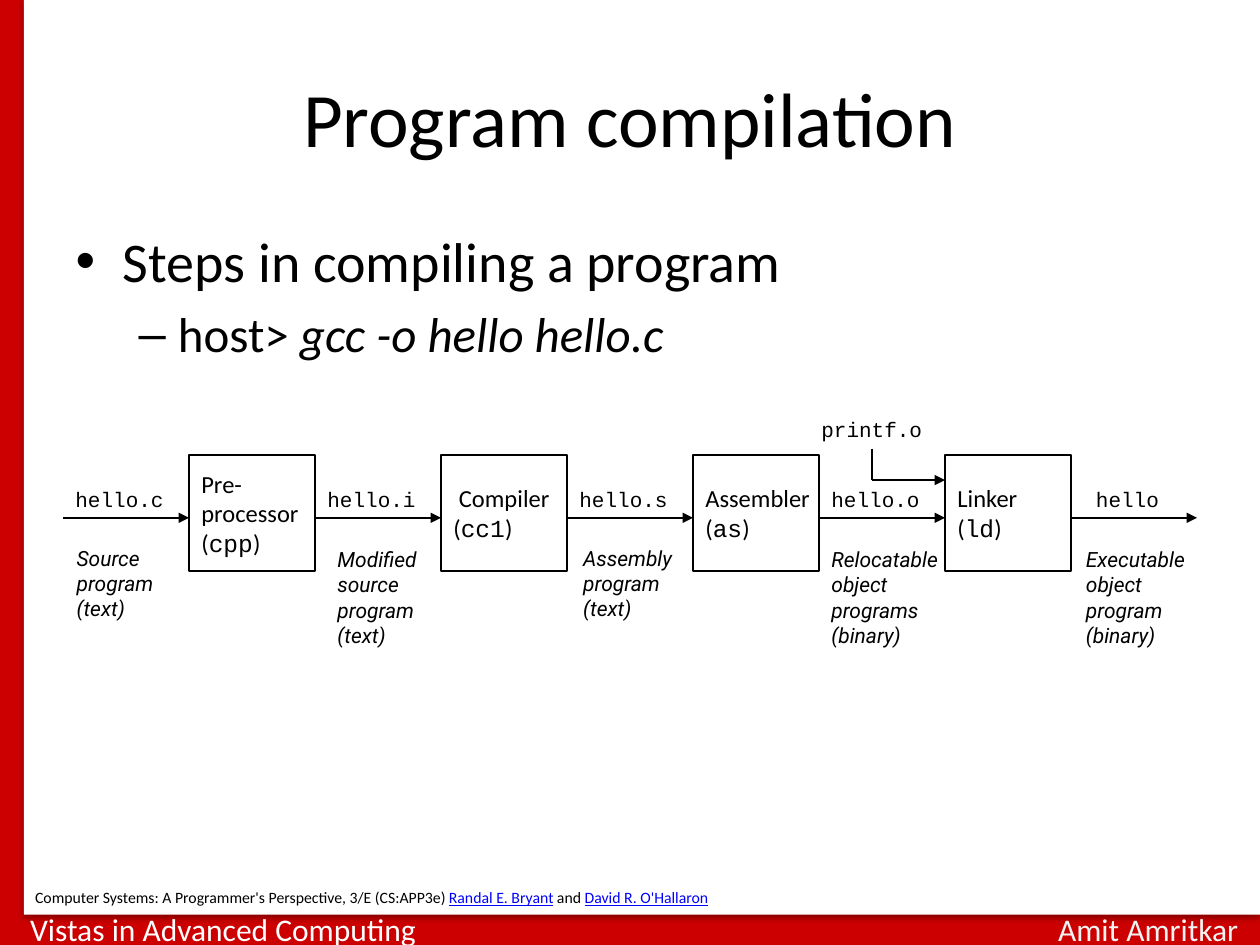
from dataclasses import dataclass
from lxml.etree import SubElement
from pptx import Presentation
from pptx.dml.color import RGBColor
from pptx.enum.shapes import MSO_CONNECTOR, MSO_SHAPE
from pptx.enum.text import MSO_ANCHOR, MSO_AUTO_SIZE, PP_ALIGN
from pptx.oxml.ns import qn
from pptx.util import Inches, Pt


@dataclass(frozen=True)
class Theme:
    """Colours, fonts and type sizes."""
    red: str = "CC0000"
    white: str = "FFFFFF"
    pale: str = "F2F2F2"
    black: str = "000000"
    blue: str = "0000FF"
    sans: str = "Calibri"
    mono: str = "Courier New"
    note: str = "Roboto"
    title: int = 44
    body: int = 32
    sub: int = 28
    foot: int = 18
    box: int = 14
    label: int = 12
    cite: int = 9


class Pen:
    """Draws styled elements on one slide."""

    def __init__(self, slide, theme):
        """Keep the slide and theme, and paint the background."""
        self.slide, self.theme = slide, theme
        self.home = slide.shapes
        fill = slide.background.fill
        fill.solid()
        fill.fore_color.rgb = RGBColor.from_string(theme.red)

    def group(self):
        """Send later elements into a new group."""
        self.home = self.slide.shapes.add_group_shape().shapes

    def leave(self):
        """Send later elements to the slide again."""
        self.home = self.slide.shapes

    def run(self, para, text, size, font=None, color=None, **style):
        """Add one run to a paragraph."""
        run = para.add_run()
        run.text = text
        run.font.size = Pt(size)
        run.font.name = font or self.theme.sans
        run.font.color.rgb = RGBColor.from_string(color or self.theme.black)
        for key, value in style.items():
            setattr(run.font, key, value)

    def lines(self, frame, rows, size, **style):
        """Fill a frame; each row is a list of (text, style) runs."""
        for i, row in enumerate(rows):
            para = frame.paragraphs[0] if i == 0 else frame.add_paragraph()
            para.alignment = PP_ALIGN.LEFT
            for text, extra in row:
                self.run(para, text, size, **{**style, **extra})

    def text(self, at, rows, size, wrap=False, anchor=MSO_ANCHOR.TOP, **style):
        """Add a text box that grows with its text."""
        frame = self.home.add_textbox(*map(Inches, at)).text_frame
        frame.word_wrap = wrap
        frame.auto_size = MSO_AUTO_SIZE.SHAPE_TO_FIT_TEXT
        frame.vertical_anchor = anchor
        self.lines(frame, rows, size, **style)

    def label(self, at, words, **style):
        """Add a small diagram label, one word a line."""
        rows = [[(word, {})] for word in words.split()]
        self.text(at, rows, self.theme.label, anchor=MSO_ANCHOR.MIDDLE, **style)

    def rect(self, at):
        """Add a plain rectangle without a shadow."""
        shape = self.home.add_shape(MSO_SHAPE.RECTANGLE, *map(Inches, at))
        shape.shadow.inherit = False
        return shape

    def panel(self, at):
        """Add the white page with its soft shadow, behind the rest."""
        shape = self.rect(at)
        shape.fill.solid()
        shape.fill.fore_color.rgb = RGBColor.from_string(self.theme.white)
        shape.line.fill.background()
        effects = shape.element.spPr.find(qn("a:effectLst"))
        shade = SubElement(effects, qn("a:outerShdw"), blurRad=str(Pt(3.1)),
                           dist=str(Pt(1.8)), dir="5400000", rotWithShape="0")
        color = SubElement(shade, qn("a:srgbClr"), val=self.theme.black)
        SubElement(color, qn("a:alpha"), val="35000")
        shape.element.getparent().insert(2, shape.element)

    def box(self, at, names, tool):
        """Add a step box with its name and its tool in brackets."""
        shape = self.rect(at)
        shape.fill.background()
        shape.line.color.rgb = RGBColor.from_string(self.theme.black)
        shape.line.width = Pt(1)
        frame = shape.text_frame
        frame.word_wrap = False
        frame.vertical_anchor = MSO_ANCHOR.MIDDLE
        rows = [[(name, {})] for name in names]
        rows.append([("(", {}), (tool, {"font": self.theme.mono}), (")", {})])
        self.lines(frame, rows, self.theme.box)

    def line(self, start, end, arrow=True):
        """Add a straight line, with an arrowhead at its end if asked."""
        line = self.home.add_connector(
            MSO_CONNECTOR.STRAIGHT, *map(Inches, start + end))
        line.line.color.rgb = RGBColor.from_string(self.theme.black)
        line.line.width = Pt(1)
        if arrow:
            SubElement(line.line._get_or_add_ln(), qn("a:tailEnd"), type="triangle")
        SubElement(line.element.spPr, qn("a:effectLst"))

    def holder(self, shape, at):
        """Move a placeholder and return its text frame."""
        shape.left, shape.top, shape.width, shape.height = map(Inches, at)
        return shape.text_frame


STEPS = [
    (["Pre-", "processor"], "cpp"),
    ([" Compiler"], "cc1"),
    (["Assembler"], "as"),
    (["Linker"], "ld"),
]
# file name, its inset and width; note, its left, top, width and height
FILES = [
    ("hello.c", 0, 0.91, "Source program (text)", (0.51, 4.28, 0.82, 0.7)),
    ("hello.i", 0, 0.91, "Modified source program (text)", (2.58, 4.29, 0.83, 0.9)),
    ("hello.s", 0, 0.91, "Assembly program (text)", (4.53, 4.28, 0.92, 0.7)),
    ("hello.o", 0, 0.91, "Relocatable object programs (binary)", (6.5, 4.29, 1.08, 0.9)),
    ("hello", 0.1, 0.7, "Executable object program (binary)", (8.52, 4.29, 1.02, 0.9)),
]
LEFT, PITCH, FLOW, TOP = 0.5, 2, 4.11, 3.61


def heads(pen):
    """Write the title and the bullet list."""
    theme = pen.theme
    title, body = pen.slide.placeholders
    para = pen.holder(title, (0.5, 0.3, 9, 1.25)).paragraphs[0]
    para.alignment = PP_ALIGN.CENTER
    pen.run(para, "Program compilation", theme.title)
    frame = pen.holder(body, (0.5, 1.75, 9, 4.95))
    pen.run(frame.paragraphs[0], "Steps in compiling a program", theme.body)
    para = frame.add_paragraph()
    para.level = 1
    pen.run(para, "host> ", theme.sub)
    pen.run(para, "gcc -o hello hello.c", theme.sub, italic=True)


def chain(pen):
    """Draw the steps, and the files that pass between them."""
    mono = pen.theme.mono
    pen.group()
    for i, (names, tool) in enumerate(STEPS):
        pen.box((LEFT + 1 + i * PITCH, TOP, 1, 0.92), names, tool)
    for i, (name, inset, width, note, spot) in enumerate(FILES):
        x = LEFT + i * PITCH
        pen.line((x, FLOW), (x + 1, FLOW))
        pen.label((x + inset, 3.81, width, 0.3), name, font=mono)
        pen.label(spot, note, font=pen.theme.note, italic=True)
    pen.label((6.42, 3.26, 1.01, 0.3), "printf.o", font=mono)
    pen.line((6.92, 3.56), (6.92, 3.81), arrow=False)
    pen.line((6.92, 3.81), (7.5, 3.81))
    pen.leave()


def feet(pen):
    """Write the footer and the source line."""
    theme = pen.theme
    link = {"color": theme.blue, "underline": True}
    pen.text((0.14, 7.17, 3.3, 0.4), [[("Vistas in Advanced Computing", {})]],
             theme.foot, color=theme.white)
    pen.text((8.3, 7.17, 1.7, 0.4), [[("Amit Amritkar", {})]],
             theme.foot, wrap=True, color=theme.pale)
    pen.text((0.18, 7, 5.62, 0.25), [[
        ("Computer Systems: A Programmer's Perspective, 3/E (CS:APP3e) ", {}),
        ("Randal E. Bryant", link), (" and ", {}),
        ("David R. O'Hallaron", link)]], theme.cite)


def main():
    """Build and save the slide."""
    deck = Presentation()
    deck.slide_width, deck.slide_height = Inches(10), Inches(7.5)
    pen = Pen(deck.slides.add_slide(deck.slide_layouts[1]), Theme())
    pen.panel((0.19, -0.01, 9.81, 7.27))
    heads(pen)
    chain(pen)
    feet(pen)
    deck.save("out.pptx")


main()
